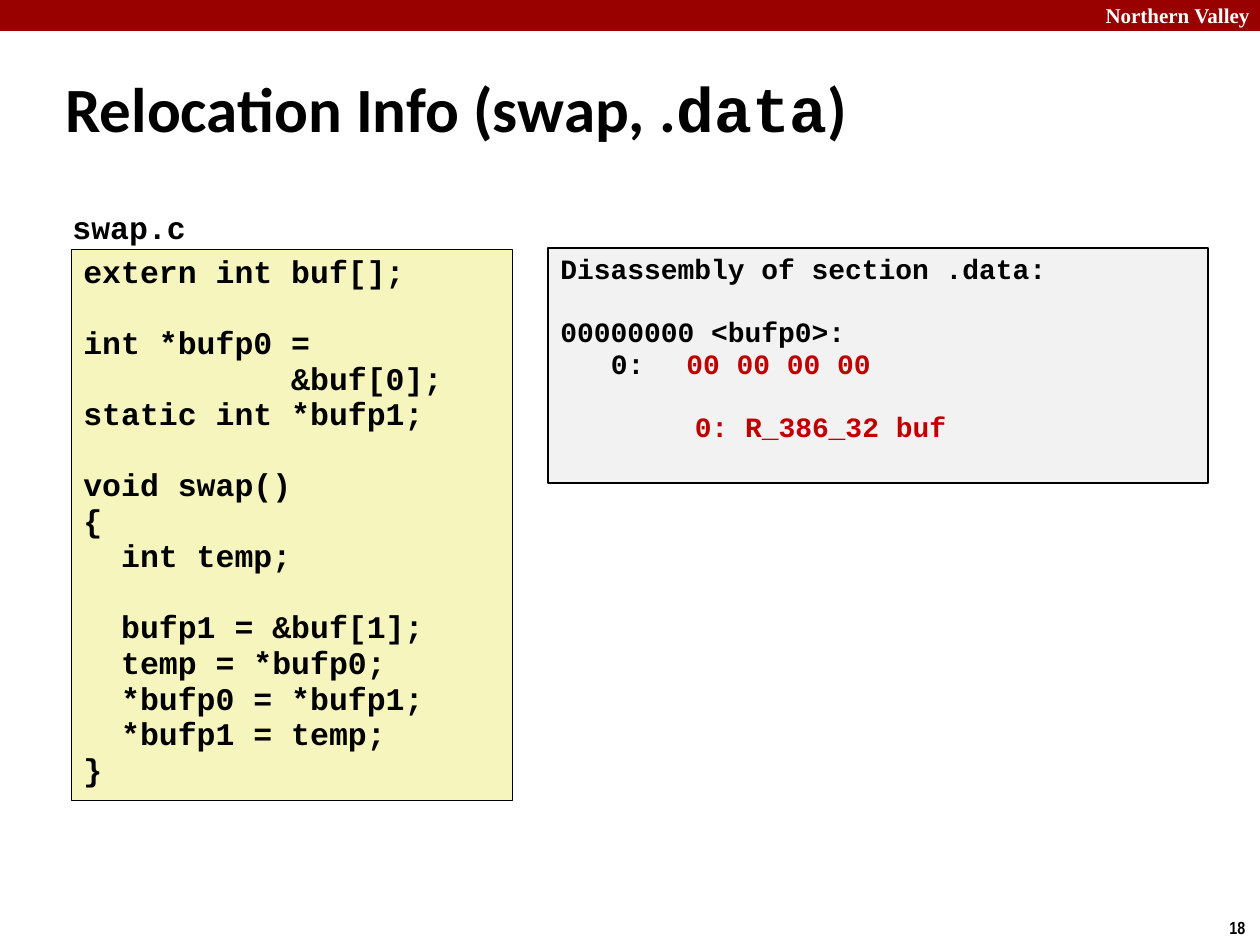
from lxml.etree import SubElement
from pptx import Presentation
from pptx.dml.color import RGBColor
from pptx.enum.shapes import MSO_SHAPE
from pptx.enum.text import MSO_ANCHOR, PP_ALIGN
from pptx.oxml.ns import qn
from pptx.util import Emu, Pt

PX = 914400 / 126  # EMU in one pixel

BLACK = RGBColor(0x00, 0x00, 0x00)
WHITE = RGBColor(0xFF, 0xFF, 0xFF)
MAROON = RGBColor(0x99, 0x00, 0x00)
RED = RGBColor(0xC0, 0x00, 0x00)
CREAM = RGBColor(0xF6, 0xF5, 0xBD)
GREY = RGBColor(0xF2, 0xF2, 0xF2)

MONO = "Courier New"
CELL = 0.6    # width of a code character, in ems
PITCH = 1.13  # height of a code line, in ems
TAB = 8       # tab stop, in characters

# Code lines: (indent in characters, blank lines before, text)
SOURCE = [
    (0, 0, "extern int buf[];"),
    (0, 1, "int *bufp0 ="),
    (11, 0, "&buf[0];"),
    (0, 0, "static int *bufp1;"),
    (0, 1, "void swap()"),
    (0, 0, "{"),
    (2, 0, "int temp;"),
    (2, 1, "bufp1 = &buf[1];"),
    (2, 0, "temp = *bufp0;"),
    (2, 0, "*bufp0 = *bufp1;"),
    (2, 0, "*bufp1 = temp;"),
    (0, 0, "}"),
]

# Dump lines: as above, then the text in red
DUMP = [
    (0, 0, "Disassembly of section .data:", ""),
    (0, 1, "00000000 <bufp0>:", ""),
    (3, 0, "0:\t", "00 00 00 00"),
    (8, 1, "", "0: R_386_32 buf"),
]


def put(item, vals):
    for name, val in vals.items():
        setattr(item, name, val)


def scale(box):
    return [Emu(round(n * PX)) for n in box]


def add_run(para, text, size, face, color=BLACK):
    run = para.add_run()
    run.text = text
    put(run.font, {"size": Pt(size), "name": face, "bold": True})
    run.font.color.rgb = color


def add_rect(slide, box, fill, line=None):
    rect = slide.shapes.add_shape(MSO_SHAPE.RECTANGLE, *scale(box))
    rect.shadow.inherit = False
    rect.fill.solid()
    rect.fill.fore_color.rgb = fill
    if line is None:
        rect.line.fill.background()
    else:
        rect.line.color.rgb = BLACK
        rect.line.width = Pt(line)
    return rect


def add_text(slide, box, runs, size, color=BLACK, frame=None, para=None):
    """Add a one-line label from (text, font) pairs."""
    text = slide.shapes.add_textbox(*scale(box)).text_frame
    put(text, {"word_wrap": True, **(frame or {})})
    line = text.paragraphs[0]
    put(line, para or {})
    for words, face in runs:
        add_run(line, words, size, face, color)


def add_code(slide, box, fill, line, size, rows):
    """Add a framed listing with indents and gaps in whole characters."""
    text = add_rect(slide, box, fill, line).text_frame
    put(text, {"word_wrap": True, "vertical_anchor": MSO_ANCHOR.TOP})
    cell = Pt(size * CELL)
    for num, (dent, gap, words, *marks) in enumerate(rows):
        para = text.add_paragraph() if num else text.paragraphs[0]
        put(para, {"alignment": PP_ALIGN.LEFT, "line_spacing": 0.94,
                   "space_before": Pt(gap * size * PITCH)})
        props = para._p.get_or_add_pPr()
        put_dent = {"marL": 0, "indent": dent * cell}
        for name, val in put_dent.items():
            props.set(name, str(val))
        if "\t" in words:
            tabs = SubElement(props, qn("a:tabLst"))
            SubElement(tabs, qn("a:tab"), pos=str(TAB * cell), algn="l")
        for part, color in zip([words, *marks], (BLACK, RED)):
            if part:
                add_run(para, part, size, MONO, color)


def main():
    deck = Presentation()
    wide, high = scale((1260, 945))
    put(deck, {"slide_width": wide, "slide_height": high})
    slide = deck.slides.add_slide(deck.slide_layouts[6])

    # Top band and page number
    add_rect(slide, (0, 0, 1260, 31), MAROON)
    add_text(slide, (1062, -4, 200, 38),
             [("Northern Valley", "Times New Roman")], 12, WHITE,
             para={"alignment": PP_ALIGN.RIGHT})
    add_text(slide, (1217, 911, 43, 34), [("18", "Arial Narrow")], 10,
             frame={"word_wrap": False})

    # Title
    add_text(slide, (53, 60, 1201, 108),
             [("Relocation Info (swap, .", "Calibri"), ("data", MONO),
              (")", "Calibri")], 36,
             frame={"vertical_anchor": MSO_ANCHOR.MIDDLE},
             para={"line_spacing": 0.82})

    # Listings
    add_code(slide, (548, 248, 660, 235), GREY, 1, 16, DUMP)
    add_code(slide, (71, 249, 441, 551), CREAM, 0.25, 18, SOURCE)
    add_text(slide, (60, 202, 140, 50), [("swap.c", MONO)], 18,
             frame={"word_wrap": False})

    deck.save("out.pptx")


main()
